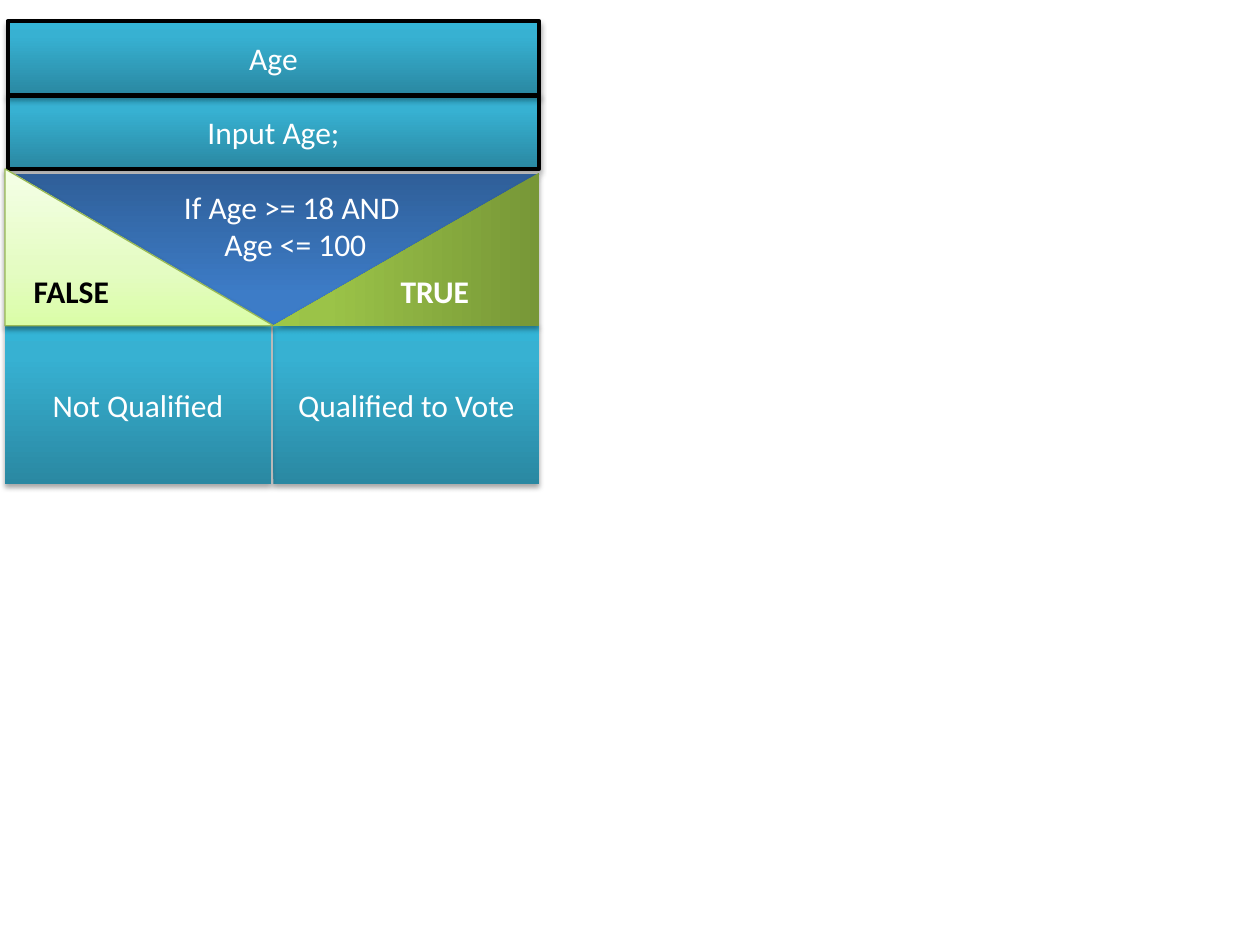
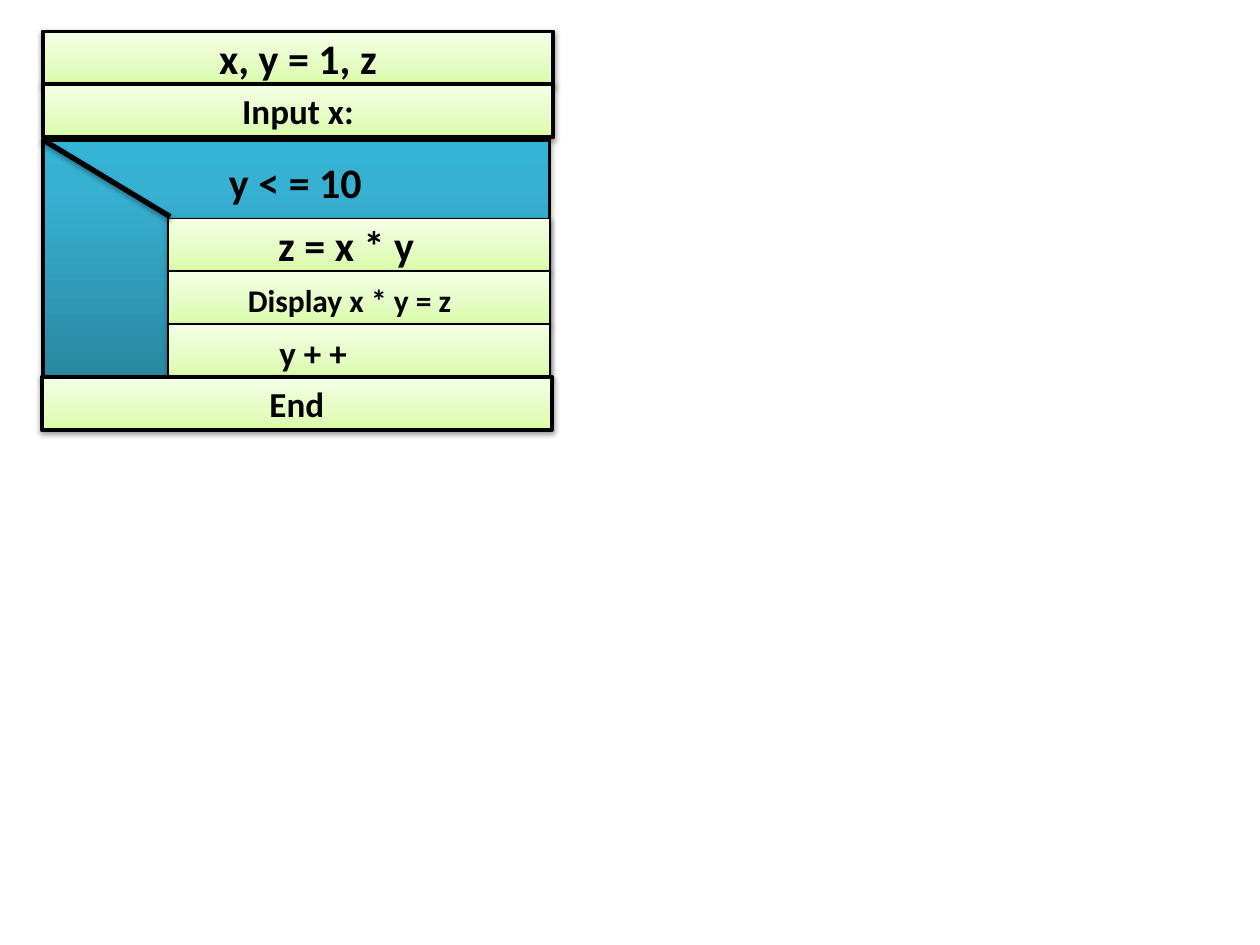
import dataclasses

import pptx
import pptx.dml.color
import pptx.enum.shapes
import pptx.enum.text
import pptx.oxml
import pptx.oxml.ns
import pptx.util
from lxml import etree

Pt = pptx.util.Pt
Kind = pptx.enum.shapes.MSO_SHAPE
Align = pptx.enum.text.PP_ALIGN
qn = pptx.oxml.ns.qn


@dataclasses.dataclass(frozen=True)
class Theme:
    font: str = "Calibri"
    black: str = "000000"
    white: str = "FFFFFF"
    edge: str = "98B955"
    teal: tuple = ((0, "2A88A2"), (80, "37B1D2"), (100, "34B4D6"))
    blue: tuple = ((0, "2F5F99"), (80, "3D7CC7"), (100, "3A7CCB"))
    green: tuple = ((0, "779737"), (80, "9BC348"), (100, "9DC746"))
    pale: tuple = ((0, "DAFDA7"), (35, "E4FCC2"), (100, "F5FFE7"))
    small: int = 18
    mid: int = 20
    large: int = 24
    thin: float = 0.75
    thick: float = 2.25
    slant: float = 3


THEME = Theme()


def color(code):
    return pptx.dml.color.RGBColor.from_string(code)


def shadow(alpha=35, dist=1.8):
    """Return an effect list that holds a soft shadow straight below."""
    return pptx.oxml.parse_xml(
        f'<a:effectLst {pptx.oxml.ns.nsdecls("a")}>'
        f'<a:outerShdw blurRad="{Pt(3.1)}" dist="{Pt(dist)}" dir="5400000" rotWithShape="0">'
        f'<a:srgbClr val="{THEME.black}"><a:alpha val="{alpha * 1000}"/></a:srgbClr>'
        "</a:outerShdw></a:effectLst>")


def shade(shape, stops):
    """Fill the shape with a gradient that runs from its bottom to its top."""
    shape.fill.gradient()
    shape.fill.gradient_angle = 90
    stop_list = shape.element.spPr.find(qn("a:gradFill")).find(qn("a:gsLst"))
    for stop in list(stop_list):
        stop_list.remove(stop)
    for place, code in stops:
        stop = etree.SubElement(stop_list, qn("a:gs"), pos=str(place * 1000))
        etree.SubElement(stop, qn("a:srgbClr"), val=code)


def draw_line(line, code, width):
    line.color.rgb = color(code)
    line.width = Pt(width)


def write(frame, text, size, code, bold, align):
    frame.text = text
    frame.word_wrap = True
    for para in frame.paragraphs:
        para.alignment = align
        for run in para.runs:
            run.font.name = THEME.font
            run.font.size = Pt(size)
            run.font.bold = bold
            run.font.color.rgb = color(code)


def add_block(slide, kind, box, stops, width=0, edge=THEME.black, turn=0):
    """Add a shaded shape; a width of zero leaves out the outline."""
    shape = slide.shapes.add_shape(kind, *map(Pt, box))
    shape.rotation = turn
    shade(shape, stops)
    if width:
        draw_line(shape.line, edge, width)
    else:
        shape.line.fill.background()
    light = stops is THEME.pale
    shape.element.spPr.append(shadow(38, 1.6) if light else shadow())
    return shape


def add_step(slide, kind, box, text, stops, size, width=0):
    """Add a block with a centred text that contrasts with its fill."""
    shape = add_block(slide, kind, box, stops, width)
    light = stops is THEME.pale
    write(shape.text_frame, text, size, THEME.black if light else THEME.white,
          light, Align.CENTER)
    shape.text_frame.vertical_anchor = pptx.enum.text.MSO_ANCHOR.MIDDLE


def add_label(slide, box, text, size, code=THEME.black, bold=True, align=Align.LEFT):
    label = slide.shapes.add_textbox(*map(Pt, box))
    write(label.text_frame, text, size, code, bold, align)
    label.text_frame.auto_size = pptx.enum.text.MSO_AUTO_SIZE.SHAPE_TO_FIT_TEXT
    return label


def add_branch(slide, left, text, code):
    """Add the name of a branch, with a shadow behind its letters."""
    label = add_label(slide, (left, 151.9, 86.4, 33.8), text, THEME.small, code)
    font = label.text_frame.paragraphs[0].runs[0].font
    props = font.fill and label.element.find(".//" + qn("a:rPr"))
    props.find(qn("a:solidFill")).addnext(shadow(50, 2))


def add_slant(slide, start, end):
    line = slide.shapes.add_connector(
        pptx.enum.shapes.MSO_CONNECTOR.STRAIGHT, *map(Pt, start + end))
    draw_line(line.line, THEME.black, THEME.slant)
    line.element.spPr.append(shadow())


def build_vote(slide):
    process = Kind.FLOWCHART_PROCESS
    for top, text in ((54.6, "Input Age;"), (12.2, "Age")):
        add_step(slide, process, (4.3, top, 303.9, 41.8), text,
                 THEME.teal, THEME.small, THEME.thick)
    add_block(slide, Kind.ISOSCELES_TRIANGLE, (4.1, 99.4, 304.3, 87), THEME.blue, turn=180)
    add_label(slide, (54.7, 103.7, 228.2, 51), "If Age >= 18 AND \nAge <= 100",
              THEME.small, THEME.white, False, Align.CENTER)
    for left, text in ((156.2, "Qualified to Vote"), (2.9, "Not Qualified")):
        add_step(slide, Kind.RECTANGLE, (left, 185.8, 151.9, 90.7), text,
                 THEME.teal, THEME.small)
    add_block(slide, Kind.RIGHT_TRIANGLE, (2.9, 96.5, 153.4, 89.6), THEME.pale,
              THEME.thin, THEME.edge)
    add_branch(slide, 12.2, "FALSE", THEME.black)
    add_block(slide, Kind.RIGHT_TRIANGLE, (188, 66.2, 87.8, 152.6), THEME.green, turn=270)
    add_branch(slide, 221.8, "TRUE", THEME.white)


def build_loop(slide):
    process, row = Kind.FLOWCHART_PROCESS, 30.2

    def add_bar(left, top, text, size):
        add_step(slide, process, (left, top, 291.6, row), text,
                 THEME.pale, size, THEME.thick)

    add_bar(24.5, 18, "x, y = 1, z", THEME.large)
    add_bar(24.5, 18 + row, "Input x:", THEME.mid)
    add_block(slide, Kind.RECTANGLE, (24.5, 79.9, 289.6, 135.4), THEME.teal, THEME.thick)
    add_label(slide, (123.8, 85.7, 127.4, 36), "y < = 10", THEME.large)
    for index in range(3):
        add_block(slide, process, (96.1, 124.7 + index * row, 218.2, row),
                  THEME.pale, THEME.thin)
    add_slant(slide, (24.5, 79.9), (97.2, 123.8))
    add_label(slide, (151.9, 121.7, 109.4, 36), "z = x * y", THEME.large)
    add_label(slide, (103.7, 157, 192.2, 29), "Display x * y = z", THEME.small,
              align=Align.CENTER)
    add_label(slide, (152.6, 185.8, 109.4, 31.7), "y + +", THEME.mid)
    add_bar(23.8, 215.3, "End", THEME.mid)


def main():
    deck = pptx.Presentation()
    deck.slide_width, deck.slide_height = Pt(720), Pt(540)
    blank = deck.slide_layouts[6]
    for build in (build_vote, build_loop):
        build(deck.slides.add_slide(blank))
    deck.save("out.pptx")


if __name__ == "__main__":
    main()
